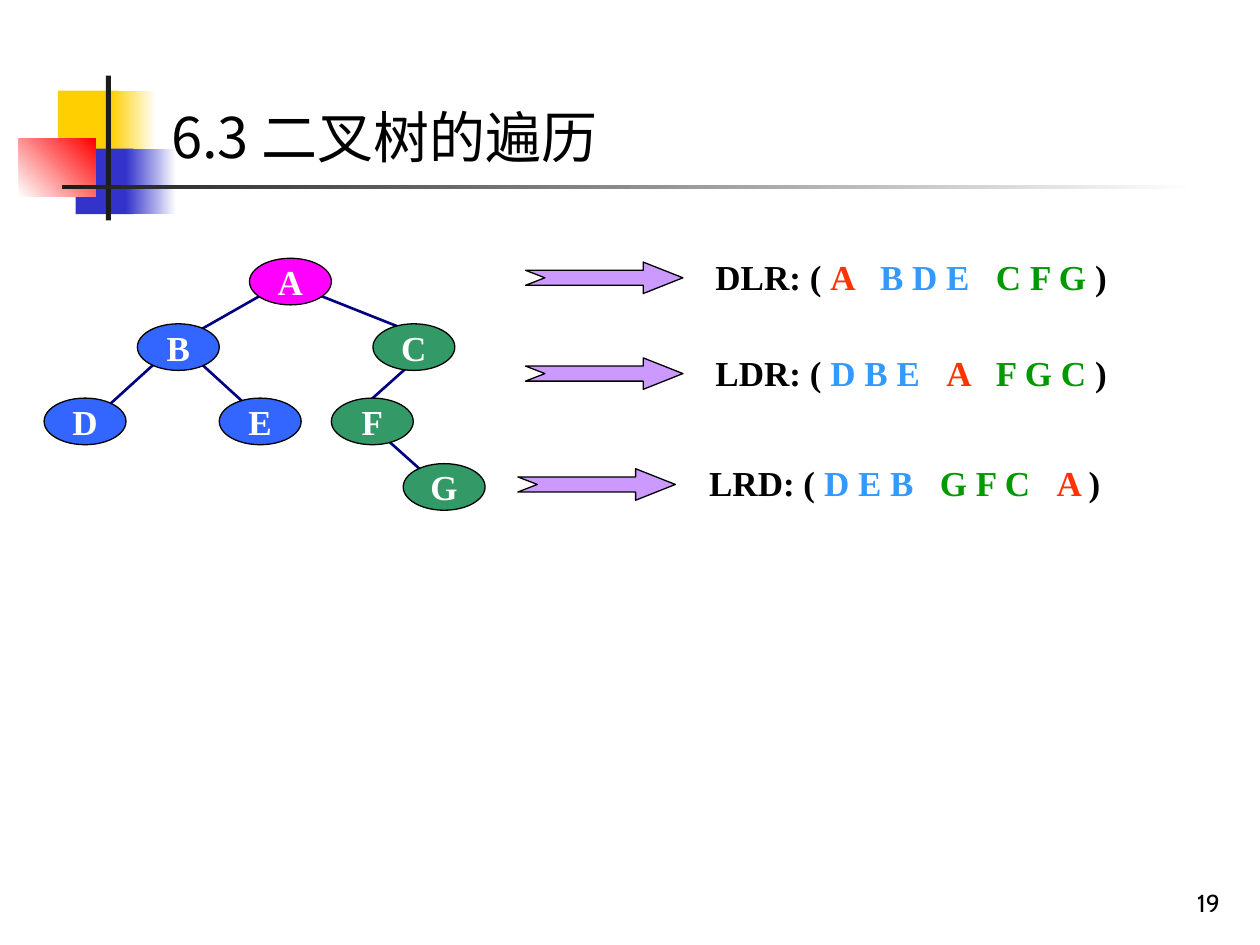
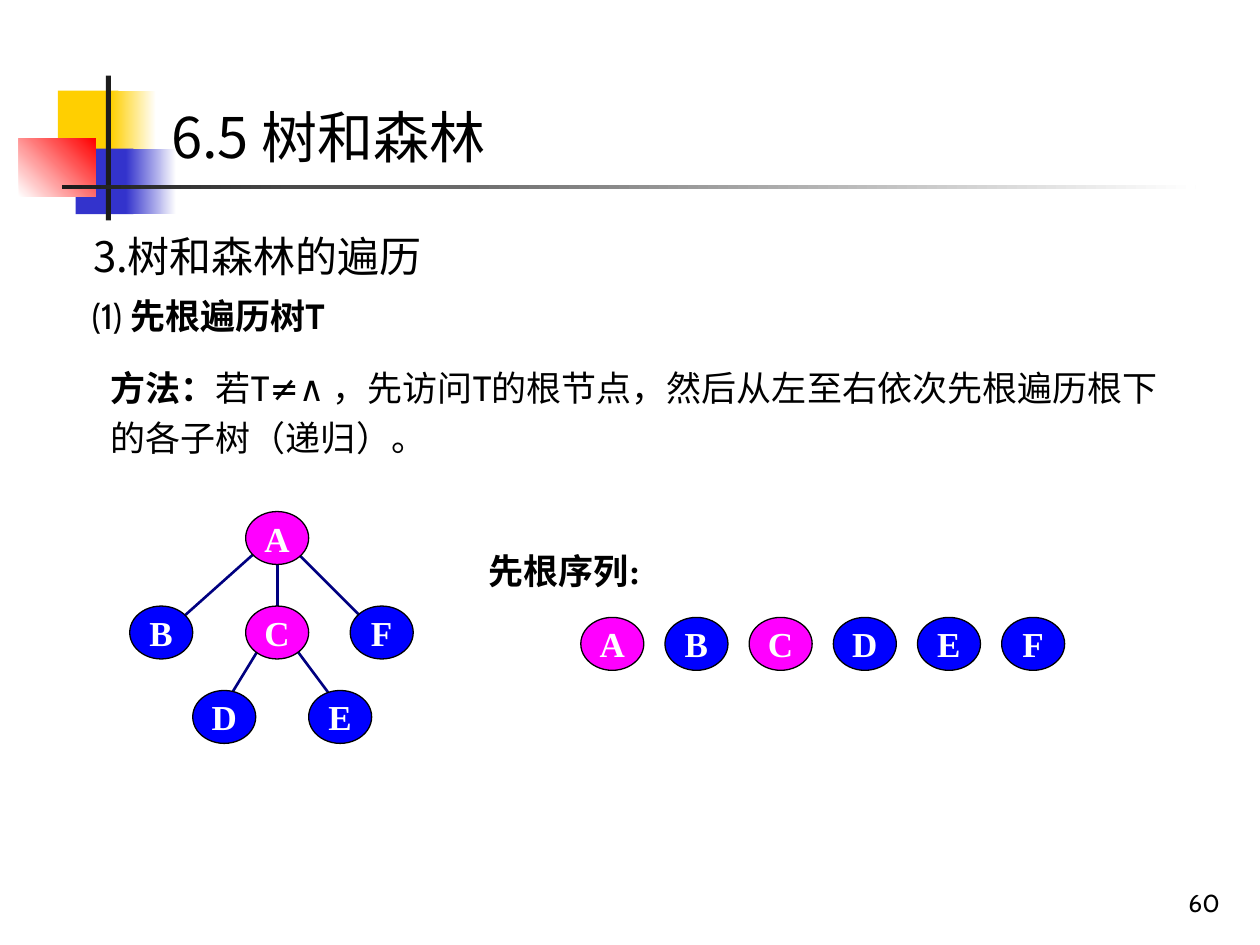
"""Two lecture slides on traversing binary trees and general trees."""
from lxml.etree import SubElement
from pptx import Presentation
from pptx.dml.color import RGBColor as RGB
from pptx.enum.shapes import MSO_CONNECTOR as LINE, MSO_SHAPE as SHAPE
from pptx.enum.text import MSO_ANCHOR as ANCHOR, MSO_AUTO_SIZE as AUTO, PP_ALIGN as ALIGN
from pptx.oxml.ns import qn
from pptx.util import Pt

C = {"black": "000000", "white": "FFFFFF", "ink": "1C1C1C", "gold": "FFCF01",
     "indigo": "3333CC", "red": "FF0000", "navy": "000080", "pink": "FF00FF",
     "left": "3366FF", "right": "339966", "blue": "0000FF", "arrow": "CC99FF",
     "root_text": "FF3300", "left_text": "3399FF", "right_text": "009900"}
C = {name: RGB.from_string(value) for name, value in C.items()}
SERIF, SANS, HEAD, HAN = "Times New Roman", "Cabin", "Noto Sans CJK JP", "Noto Sans CJK SC"

prs = Presentation()
prs.slide_width, prs.slide_height = 9144000, 6858000
COLS = 100
UNIT = prs.slide_width / COLS


def grid(*cells):
    """Turn columns and rows of the slide grid into lengths."""
    return [round(n * UNIT) for n in cells]


def write(tf, runs, font, size, align=ALIGN.LEFT, wrap=True):
    """Fill a text frame with (text, colour, bold) runs."""
    tf.word_wrap = wrap
    p = tf.paragraphs[0]
    p.alignment = align
    p.space_before = Pt(0)
    for text, color, bold in runs:
        r = p.add_run()
        r.text = text
        r.font.name, r.font.size, r.font.bold = font, Pt(size), bold
        r.font.color.rgb = C[color]
        ea = SubElement(r.font._element, qn("a:ea"))
        ea.set("typeface", HEAD if font == HEAD else HAN)
    return p


BANDS = [
    ((4.6, 7.2, 4.8, 5.2), ["gold"], 0),
    ((8.8, 7.2, 3.6, 5.2), ["gold", "white"], 0),
    ((6, 11.8, 4.6, 5.2), ["indigo"], 0),
    ((10, 11.8, 4, 5.2), ["indigo", "white"], 0),
    ((1.5, 11, 6.1, 4.6), ["white", "red"], 45),
    ((8.4, 6, 0.4, 11.5), ["ink"], 0),
    ((4.9, 14.7, 90, 0.3), ["ink", "white"], 0),
]
ROW = [(label, 46.1 + 6.68 * i, 49, "pink" if label in "AC" else "blue")
       for i, label in enumerate("ABCDEF")]
SLIDES = [
    {"title": "6.3 二叉树的遍历", "number": "19", "node": (6.5, 3.7),
     "edges": [(25.5, 23.5, 32.8, 26.4), (14.9, 27.9, 20.6, 33.1),
               (20.6, 23.5, 14.1, 27.2), (14.1, 27.2, 7.6, 33.1),
               (34.5, 27.2, 27.9, 33.1), (29.6, 33.9, 35.3, 39)],
     "nodes": [("A", 19.8, 20.5, "pink"), ("B", 10.9, 25.7, "left"),
               ("D", 3.5, 31.6, "left"), ("E", 17.4, 31.6, "left"),
               ("C", 29.6, 25.7, "right"), ("F", 26.3, 31.6, "right"),
               ("G", 32, 36.8, "right")],
     "texts": [
         ((55.8, 19.8, 40, 4.4), SERIF, 1,
          [("DLR: ( ", "black", True), ("A   ", "root_text", True),
           ("B D E   ", "left_text", True), ("C F G ", "right_text", True),
           (")", "black", True)]),
         ((55.8, 27.4, 40, 4.4), SERIF, 1,
          [("LDR: ( ", "black", True), ("D B E   ", "left_text", True),
           ("A   ", "root_text", True), ("F G C ", "right_text", True),
           (")", "black", True)]),
         ((55.3, 36.1, 40, 4.4), SERIF, 1,
          [("LRD: ( ", "black", True), ("D E B   ", "left_text", True),
           ("G F C   ", "right_text", True), ("A ", "root_text", True),
           (")", "black", True)])],
     "arrows": [(41.7, 20.8), (41.7, 28.4), (41.1, 37.2)]},
    {"title": "6.5 树和森林", "number": "60", "node": (5, 4.2),
     "edges": [(22, 42.3, 13.6, 49.8), (22, 42.3, 22, 49), (22, 42.3, 29.5, 49.8),
               (21.1, 50.6, 17, 57.3), (22.8, 50.6, 27.2, 56.5)],
     "nodes": [("A", 19.5, 40.6, "pink"), ("B", 10.3, 48.1, "blue"),
               ("F", 27.8, 48.1, "blue"), ("D", 15.3, 54.8, "blue"),
               ("C", 19.5, 48.1, "pink"), ("E", 24.5, 54.8, "blue")] + ROW,
     "texts": [
         ((6.4, 17.8, 74, 5), HAN, 1, [("3.树和森林的遍历", "black", False)]),
         ((6.3, 22.9, 47.5, 4.4), SANS, 1,
          [("(1) ", "black", False), ("先根遍历树T", "black", True)]),
         ((7.8, 27.9, 86.9, 9), SANS, 1.2,
          [("方法：", "black", True),
           ("若T≠∧ ，先访问T的根节点，然后从左至右依次先根遍历根下的各子树（递归）。",
            "black", False)]),
         ((37.8, 43.1, 14.2, 7.7), SERIF, 1, [("先根序列:", "black", True)])],
     "arrows": []},
]
ARROW = [(0, 0.65), (9.35, 0.65), (9.35, 0), (12.5, 1.25), (9.35, 2.5),
         (9.35, 1.85), (0, 1.85), (1.55, 1.25)]

for page in SLIDES:
    s = prs.slides.add_slide(prs.slide_layouts[5])

    for place, colors, angle in BANDS:
        sp = s.shapes.add_shape(SHAPE.RECTANGLE, *grid(*place))
        sp.shadow.inherit = False
        sp.line.fill.background()
        if len(colors) == 1:
            sp.fill.solid()
            sp.fill.fore_color.rgb = C[colors[0]]
        else:
            sp.fill.gradient()
            sp.fill.gradient_angle = angle
            for stop, color in zip(sp.fill.gradient_stops, colors):
                stop.color.rgb = C[color]

    title = s.shapes.title
    title.left, title.top, title.width, title.height = grid(12.6, 7.6, 87.4, 6.4)
    title.text_frame.auto_size = AUTO.NONE
    title.text_frame.vertical_anchor = ANCHOR.TOP
    write(title.text_frame, [(page["title"], "black", False)], HEAD, 32)
    s.shapes.element.append(title.element)

    tf = s.shapes.add_textbox(*grid(77, 68.3, 20.8, 5)).text_frame
    tf.vertical_anchor = ANCHOR.BOTTOM
    write(tf, [(page["number"], "black", False)], SANS, 14, ALIGN.RIGHT)

    for place, font, spacing, runs in page["texts"]:
        tf = s.shapes.add_textbox(*grid(*place)).text_frame
        p = write(tf, runs, font, 24 if font == HAN else 20)
        p.line_spacing = spacing

    for ends in page["edges"]:
        edge = s.shapes.add_connector(LINE.STRAIGHT, *grid(*ends))
        edge.line.color.rgb = C["navy"]
        edge.line.width = Pt(1.5)
        SubElement(edge.element.spPr, qn("a:effectLst"))

    outlined = []
    for label, x, y, color in page["nodes"]:
        sp = s.shapes.add_shape(SHAPE.OVAL, *grid(x, y, *page["node"]))
        sp.text_frame.vertical_anchor = ANCHOR.MIDDLE
        write(sp.text_frame, [(label, "white", True)], SERIF, 20, ALIGN.CENTER, False)
        outlined.append((sp, color))

    for x, y in page["arrows"]:
        points = [grid(x + dx, y + dy) for dx, dy in ARROW]
        outline = s.shapes.build_freeform(*points[0])
        outline.add_line_segments(points[1:], close=True)
        outlined.append((outline.convert_to_shape(), "arrow"))

    for sp, color in outlined:
        sp.shadow.inherit = False
        sp.fill.solid()
        sp.fill.fore_color.rgb = C[color]
        sp.line.color.rgb = C["black"]
        sp.line.width = Pt(0.75)

prs.save("out.pptx")
